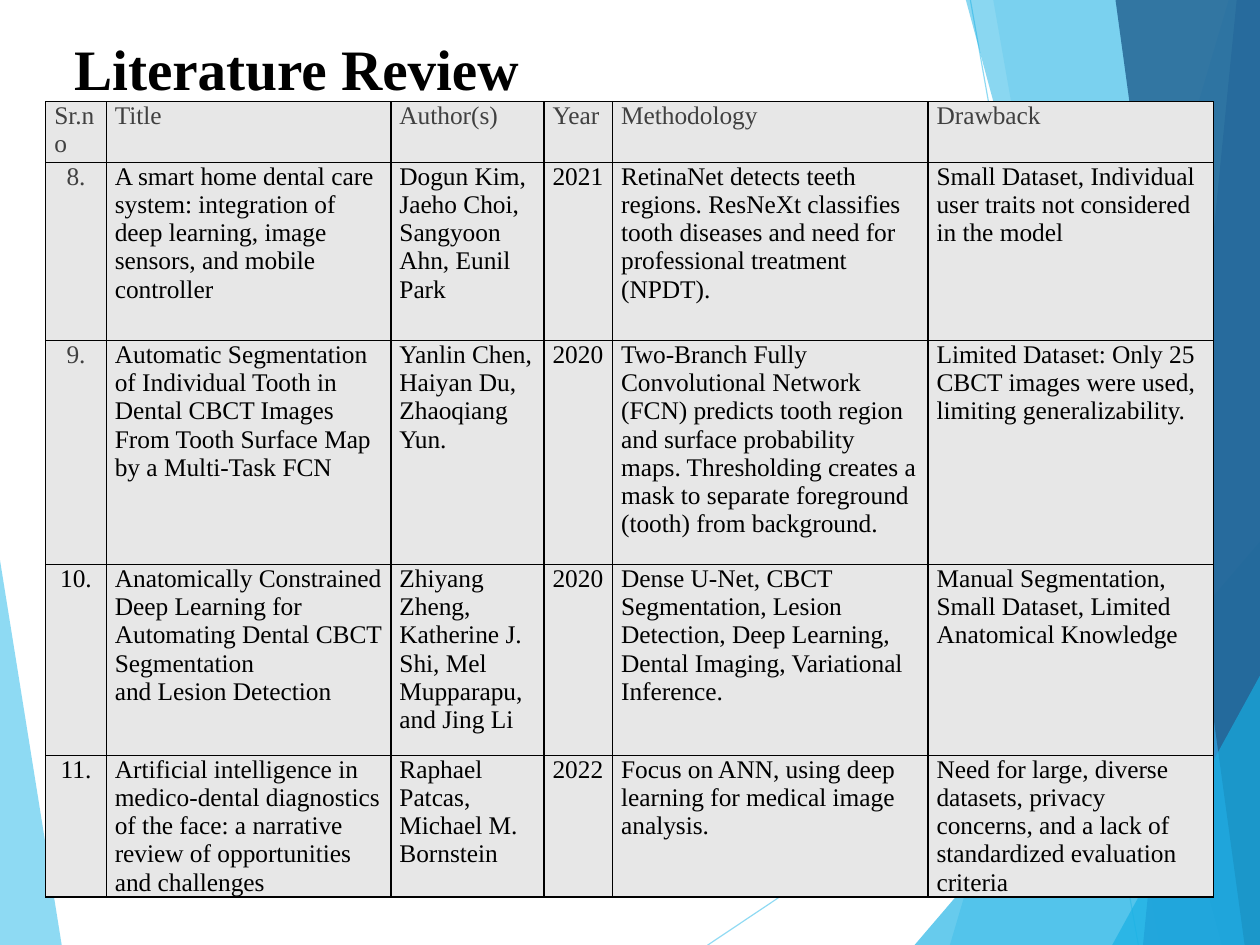
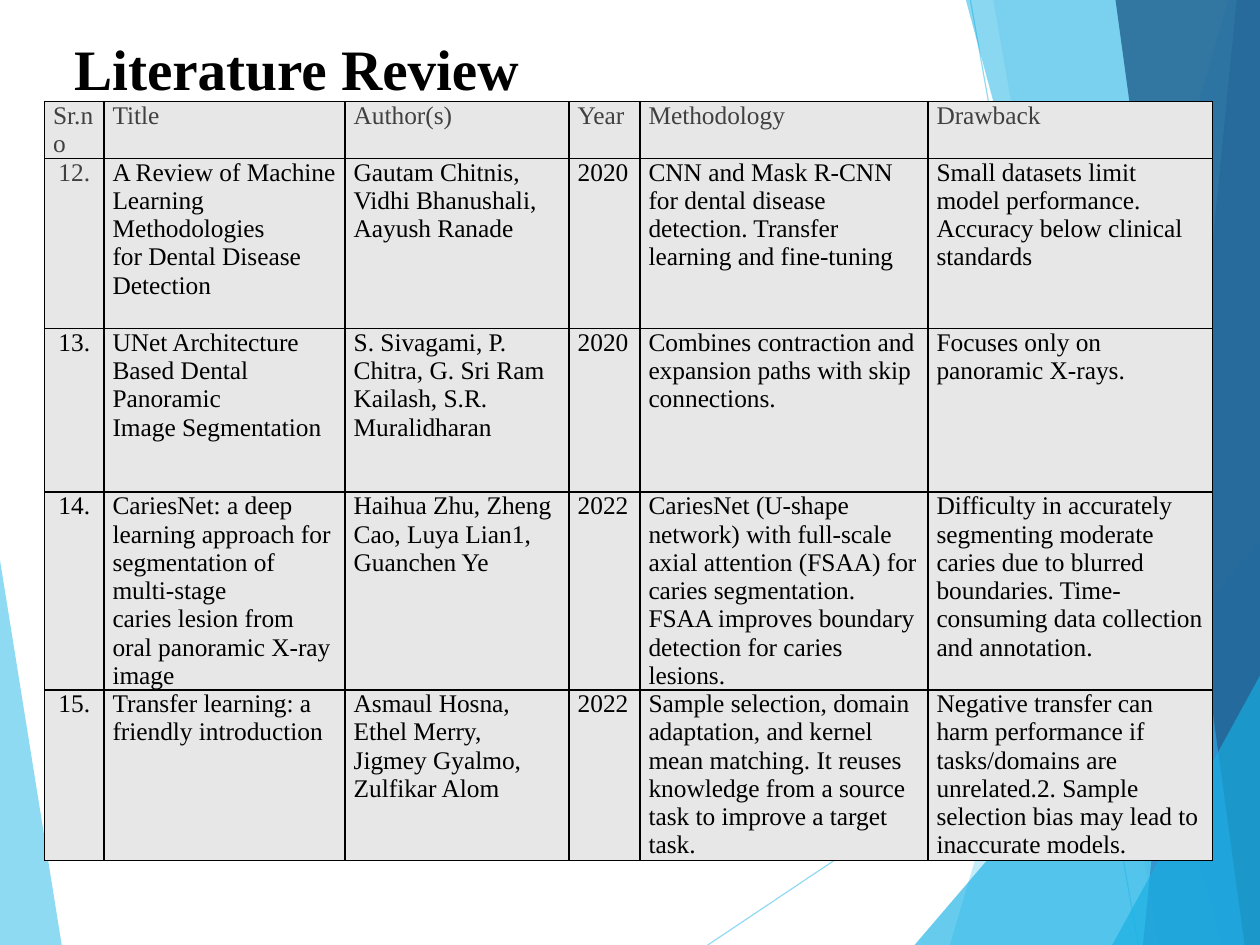
from dataclasses import dataclass

from lxml.etree import SubElement
from pptx import Presentation
from pptx.dml.color import RGBColor
from pptx.enum.shapes import MSO_CONNECTOR
from pptx.enum.text import PP_ALIGN
from pptx.oxml.ns import qn
from pptx.util import Cm, Inches, Pt


@dataclass(frozen=True)
class Theme:
    font: str = "Times New Roman"
    title_size: int = 36
    cell_size: int = 16
    cell_leading: float = 17.8
    cell_margin: float = 5.4
    ink: str = "000000"
    grey: str = "404040"
    cell: str = "E7E7E7"
    sky: str = "5FCBEF"
    azure: str = "17B0E4"
    steel: str = "2E83C3"
    navy: str = "236292"


T = Theme()
W, H = 11.03, 8.27  # right and bottom edges reached by the decoration

# (colour, opacity in percent, corners)
FACETS_LEFT = [(T.sky, 70, [(-0.01, 4.84), (0.54, H), (-0.01, H)])]
RAYS = [((6.19, H), (W, 5.03)), ((8.49, 0), (9.96, H))]
FACETS_RIGHT = [
    (T.sky, 36, [(10.75, 0), (8.31, H), (W, H), (W, 0)]),
    (T.sky, 20, [(8.69, 0), (10.14, H), (W, H), (W, 0)]),
    (T.azure, 65, [(8, H), (W, 4.73), (W, H)]),
    (T.azure, 50, [(8.45, 0), (10.69, H), (W, H), (W, 0)]),
    (T.steel, 70, [(10.82, 0), (10, H), (W, H), (W, 0)]),
    (T.navy, 82, [(9.76, 0), (10.89, H), (W, H), (W, 0)]),
    (T.azure, 65, [(9.73, H), (W, 5.9), (W, H)]),
]

TITLE = "Literature Review"
HEADER = ["Sr.no", "Title", "Author(s)", "Year", "Methodology", "Drawback"]

# A line feed inside a cell starts a new paragraph.
REVIEWS = [
    {
        "left": 0.4,
        "cols": [0.53, 2.49, 1.34, 0.6, 2.76, 2.5],
        "heights": [0.53, 1.56, 1.96, 1.67, 1.24],
        "grey_numbers": {"8.", "9."},
        "rows": [
            ["8.",
             "A smart home dental care system: integration of deep learning, "
             "image sensors, and mobile controller",
             "Dogun Kim, Jaeho Choi, Sangyoon Ahn, Eunil Park",
             "2021",
             "RetinaNet detects teeth regions. ResNeXt classifies tooth diseases "
             "and need for professional treatment (NPDT).",
             "Small Dataset, Individual user traits not considered in the model"],
            ["9.",
             "Automatic Segmentation of Individual Tooth in Dental CBCT Images "
             "From Tooth Surface Map by a Multi-Task FCN",
             "Yanlin Chen, Haiyan Du, Zhaoqiang Yun.",
             "2020",
             "Two-Branch Fully Convolutional Network (FCN) predicts tooth region "
             "and surface probability maps. Thresholding creates a mask to "
             "separate foreground (tooth) from background.",
             "Limited Dataset: Only 25 CBCT images were used, limiting "
             "generalizability."],
            ["10.",
             "Anatomically Constrained Deep Learning for\n"
             "Automating Dental CBCT Segmentation\nand Lesion Detection",
             "Zhiyang Zheng, Katherine J. Shi, Mel Mupparapu, and Jing Li",
             "2020",
             "Dense U-Net, CBCT Segmentation, Lesion Detection, Deep Learning, "
             "Dental Imaging, Variational Inference.",
             "Manual Segmentation, Small Dataset, Limited Anatomical Knowledge"],
            ["11.",
             "Artificial intelligence in medico-dental diagnostics of the face: "
             "a narrative review of opportunities and challenges",
             "Raphael Patcas, Michael M. Bornstein",
             "2022",
             "Focus on ANN, using deep learning for medical image analysis.",
             "Need for large, diverse datasets, privacy concerns, and a lack of "
             "standardized evaluation criteria"],
        ],
    },
    {
        "left": 0.39,
        "cols": [0.52, 2.11, 1.96, 0.62, 2.52, 2.49],
        "heights": [0.49, 1.49, 1.43, 1.72, 1.49],
        "grey_numbers": {"12."},
        "rows": [
            ["12.",
             "A Review of Machine Learning Methodologies\n"
             "for Dental Disease Detection",
             "Gautam Chitnis, Vidhi Bhanushali, Aayush Ranade",
             "2020",
             "CNN and Mask R-CNN for dental disease detection. Transfer learning "
             "and fine-tuning",
             "Small datasets limit model performance. Accuracy below clinical "
             "standards"],
            ["13.",
             "UNet Architecture Based Dental Panoramic\nImage Segmentation",
             "S. Sivagami, P. Chitra, G. Sri Ram Kailash, S.R. Muralidharan",
             "2020",
             "Combines contraction and expansion paths with skip connections.",
             "Focuses only on panoramic X-rays."],
            ["14.",
             "CariesNet: a deep learning approach for segmentation of multi-stage\n"
             "caries lesion from oral panoramic X-ray image",
             "Haihua Zhu, Zheng Cao, Luya Lian1, Guanchen Ye",
             "2022",
             "CariesNet (U-shape network) with full-scale axial attention (FSAA) "
             "for caries segmentation. FSAA improves boundary detection for "
             "caries lesions.",
             "Difficulty in accurately segmenting moderate caries due to blurred "
             "boundaries. Time-consuming data collection and annotation."],
            ["15.",
             "Transfer learning: a friendly introduction",
             "Asmaul Hosna, Ethel Merry, Jigmey Gyalmo, Zulfikar Alom",
             "2022",
             "Sample selection, domain adaptation, and kernel mean matching. It "
             "reuses knowledge from a source task to improve a target task.",
             "Negative transfer can harm performance if tasks/domains are "
             "unrelated.2. Sample selection bias may lead to inaccurate models."],
        ],
    },
]


def rgb(color):
    return RGBColor.from_string(color)


def set_opacity(sp, percent):
    for clr in sp._element.spPr.iter(qn("a:srgbClr")):
        SubElement(clr, qn("a:alpha"), val=str(percent * 1000))


def add_run(p, text, size, color, bold=False):
    r = p.add_run()
    r.text = text
    r.font.name, r.font.size, r.font.bold = T.font, Pt(size), bold
    r.font.color.rgb = rgb(color)


def add_facets(slide, facets):
    for color, opacity, corners in facets:
        start, *rest = [(Inches(x), Inches(y)) for x, y in corners]
        builder = slide.shapes.build_freeform(*start)
        builder.add_line_segments(rest, close=True)
        sp = builder.convert_to_shape()
        sp.shadow.inherit = False
        sp.fill.solid()
        sp.fill.fore_color.rgb = rgb(color)
        sp.line.fill.background()
        set_opacity(sp, opacity)


def add_rays(slide):
    for start, end in RAYS:
        ray = slide.shapes.add_connector(
            MSO_CONNECTOR.STRAIGHT, *[Inches(v) for v in start + end])
        ray.line.color.rgb = rgb(T.sky)
        ray.line.width = Pt(0.75)
        set_opacity(ray, 70)
        SubElement(ray._element.spPr, qn("a:effectLst"))


def add_title(slide):
    box = slide.shapes.add_textbox(Inches(0.55), Inches(0.24), Inches(9.92), Inches(0.64))
    tf = box.text_frame
    tf.word_wrap = True
    add_run(tf.paragraphs[0], TITLE, T.title_size, T.ink, bold=True)


def style_cell(cell):
    tc_pr = cell._tc.get_or_add_tcPr()
    for side in ("lnL", "lnR", "lnT", "lnB"):
        ln = SubElement(tc_pr, qn(f"a:{side}"), w=str(Pt(1)))
        SubElement(SubElement(ln, qn("a:solidFill")), qn("a:srgbClr"), val=T.ink)
    cell.fill.solid()
    cell.fill.fore_color.rgb = rgb(T.cell)
    cell.margin_left = cell.margin_right = Pt(T.cell_margin)
    cell.margin_top = cell.margin_bottom = 0


def add_review_table(slide, review):
    rows = [HEADER] + review["rows"]
    cols, heights = review["cols"], review["heights"]
    table = slide.shapes.add_table(
        len(rows), len(cols), Inches(review["left"]), Inches(0.89),
        Inches(sum(cols)), Inches(sum(heights))).table
    table.first_row = table.horz_banding = False
    for column, width in zip(table.columns, cols):
        column.width = Inches(width)
    for row, height in zip(table.rows, heights):
        row.height = Inches(height)
    for i, texts in enumerate(rows):
        for j, text in enumerate(texts):
            cell = table.cell(i, j)
            style_cell(cell)
            grey = i == 0 or text in review["grey_numbers"]
            tf = cell.text_frame
            for k, line in enumerate(text.split("\n")):
                p = tf.add_paragraph() if k else tf.paragraphs[0]
                p.alignment = PP_ALIGN.CENTER if i and j == 0 else PP_ALIGN.LEFT
                p.line_spacing = Pt(T.cell_leading)
                add_run(p, line, T.cell_size, T.grey if grey else T.ink)


def main():
    prs = Presentation()
    prs.slide_width, prs.slide_height = Cm(28), Cm(21)
    for review in REVIEWS:
        slide = prs.slides.add_slide(prs.slide_layouts[6])
        add_facets(slide, FACETS_LEFT)
        add_rays(slide)
        add_facets(slide, FACETS_RIGHT)
        add_title(slide)
        add_review_table(slide, review)
    prs.save("out.pptx")


if __name__ == "__main__":
    main()
